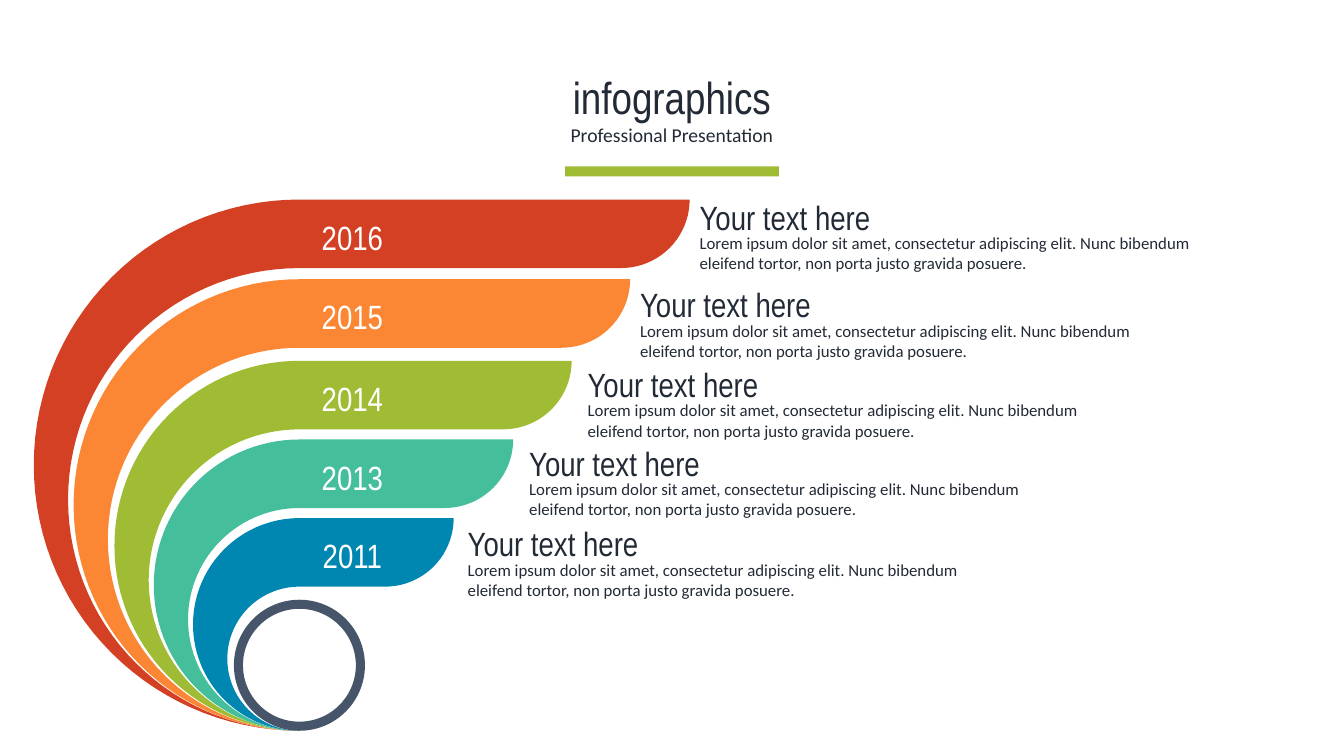
import math
from dataclasses import dataclass

import pptx
import pptx.dml.color
import pptx.enum.shapes
import pptx.enum.text
import pptx.util

Inches = pptx.util.Inches
ALIGN = pptx.enum.text.PP_ALIGN
SHAPES = pptx.enum.shapes.MSO_SHAPE


@dataclass(frozen=True)
class Theme:
    heading_font: str = "Arial Narrow"
    body_font: str = "Calibri"
    ink: str = "222A35"
    white: str = "FFFFFF"
    accent: str = "A0BC34"
    ring: str = "46556A"
    title_size: int = 32
    subtitle_size: int = 14
    heading_size: int = 24
    body_size: int = 12


THEME = Theme()
HEADING = "Your text here"
BODY = ("Lorem ipsum dolor sit amet, consectetur adipiscing elit. "
        "Nunc bibendum eleifend tortor, non porta justo gravida posuere.")

# year, colour, band top, band right, text left, text top
BANDS = [
    ("2016", "D44024", 1.98, 6.84, 6.84, 1.90),
    ("2015", "FB8734", 2.77, 6.25, 6.25, 2.77),
    ("2014", "A0BC34", 3.58, 5.67, 5.73, 3.56),
    ("2013", "45BE9B", 4.36, 5.09, 5.15, 4.34),
    ("2011", "0087B1", 5.14, 4.50, 4.54, 5.14),
]
AXIS_X = 2.97
BASE_Y = 7.25
BAND_HEIGHT = 0.68
RING_SIZE = 1.3
RING_WIDTH = 0.09


def paint(sp, color):
    sp.fill.solid()
    sp.fill.fore_color.rgb = pptx.dml.color.RGBColor.from_string(color)
    sp.line.fill.background()
    sp.shadow.inherit = False


def add_text(slide, box, text, font, size, color, align=ALIGN.LEFT):
    sp = slide.shapes.add_textbox(*map(Inches, box))
    tf = sp.text_frame
    tf.word_wrap = True
    tf.auto_size = pptx.enum.text.MSO_AUTO_SIZE.SHAPE_TO_FIT_TEXT
    p = tf.paragraphs[0]
    p.text = text
    p.alignment = align
    p.font.name = font
    p.font.size = pptx.util.Pt(size)
    p.font.color.rgb = pptx.dml.color.RGBColor.from_string(color)


def arc(cx, cy, radius, start, end, steps):
    """Points on a circle; degrees run clockwise from the right."""
    angles = [math.radians(start + (end - start) * i / steps) for i in range(steps + 1)]
    return [(cx + radius * math.cos(a), cy + radius * math.sin(a)) for a in angles]


def add_band(slide, top, right, color):
    """Band with a rounded tip that curls down and tapers to the common base."""
    inner_top = top + BAND_HEIGHT
    outer_radius = (BASE_Y - top) / 2
    inner_radius = (BASE_Y - inner_top) / 2
    points = (arc(right - BAND_HEIGHT, top, BAND_HEIGHT, 0, 90, 20)
              + arc(AXIS_X, inner_top + inner_radius, inner_radius, 270, 90, 60)
              + arc(AXIS_X, top + outer_radius, outer_radius, 90, 270, 60))
    points = [(Inches(x), Inches(y)) for x, y in points]
    builder = slide.shapes.build_freeform(*points[0])
    builder.add_line_segments(points[1:], close=True)
    paint(builder.convert_to_shape(), color)


def add_ring(slide, left, top, size):
    sp = slide.shapes.add_shape(SHAPES.DONUT, *map(Inches, (left, top, size, size)))
    sp.adjustments[0] = RING_WIDTH / size
    paint(sp, THEME.ring)


def add_entry(slide, left, top, width):
    """Heading with its description below."""
    add_text(slide, (left, top + 0.36, width, 0.5), BODY,
             THEME.body_font, THEME.body_size, THEME.ink)
    add_text(slide, (left, top, width, 0.5), HEADING,
             THEME.heading_font, THEME.heading_size, THEME.ink)


def add_header(slide, left, top, width):
    add_text(slide, (left, top, width, 0.64), "infographics",
             THEME.heading_font, THEME.title_size, THEME.ink, ALIGN.CENTER)
    add_text(slide, (left, top + 0.53, width, 0.34), "Professional Presentation",
             THEME.body_font, THEME.subtitle_size, THEME.ink, ALIGN.CENTER)
    rule_width = 2.12
    rule_left = left + (width - rule_width) / 2
    rule = slide.shapes.add_shape(
        SHAPES.RECTANGLE, *map(Inches, (rule_left, top + 1.01, rule_width, 0.1)))
    paint(rule, THEME.accent)


def main():
    prs = pptx.Presentation()
    prs.slide_width = Inches(13.33)
    prs.slide_height = Inches(7.5)
    slide = prs.slides.add_slide(prs.slide_layouts[6])

    for year, color, top, right, text_left, text_top in BANDS:
        add_band(slide, top, right, color)
        add_entry(slide, text_left, text_top, 5.38)
        add_text(slide, (2.78, top + 0.12, 1.43, 0.5), year,
                 THEME.heading_font, THEME.heading_size, THEME.white, ALIGN.CENTER)
    add_ring(slide, AXIS_X - RING_SIZE / 2, BASE_Y - RING_SIZE, RING_SIZE)
    add_header(slide, 0, 0.64, 13.33)

    prs.save("out.pptx")


if __name__ == "__main__":
    main()
